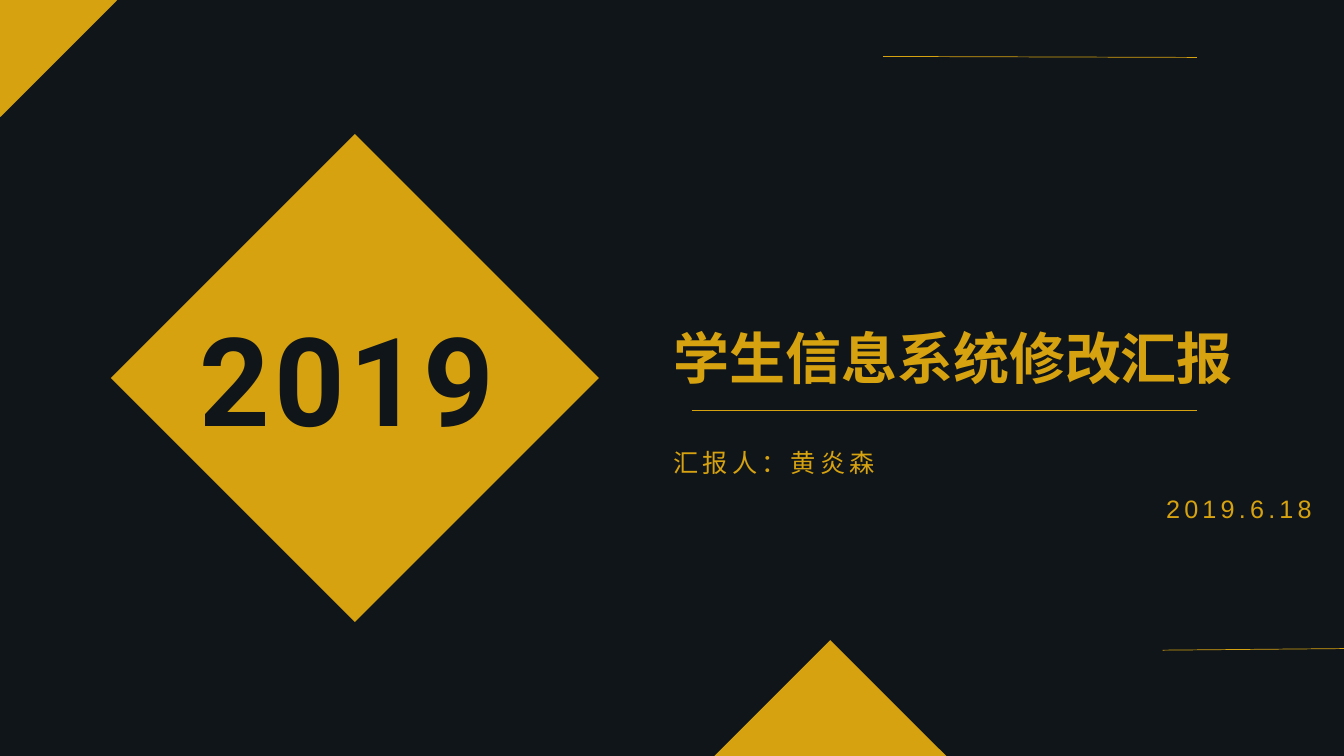
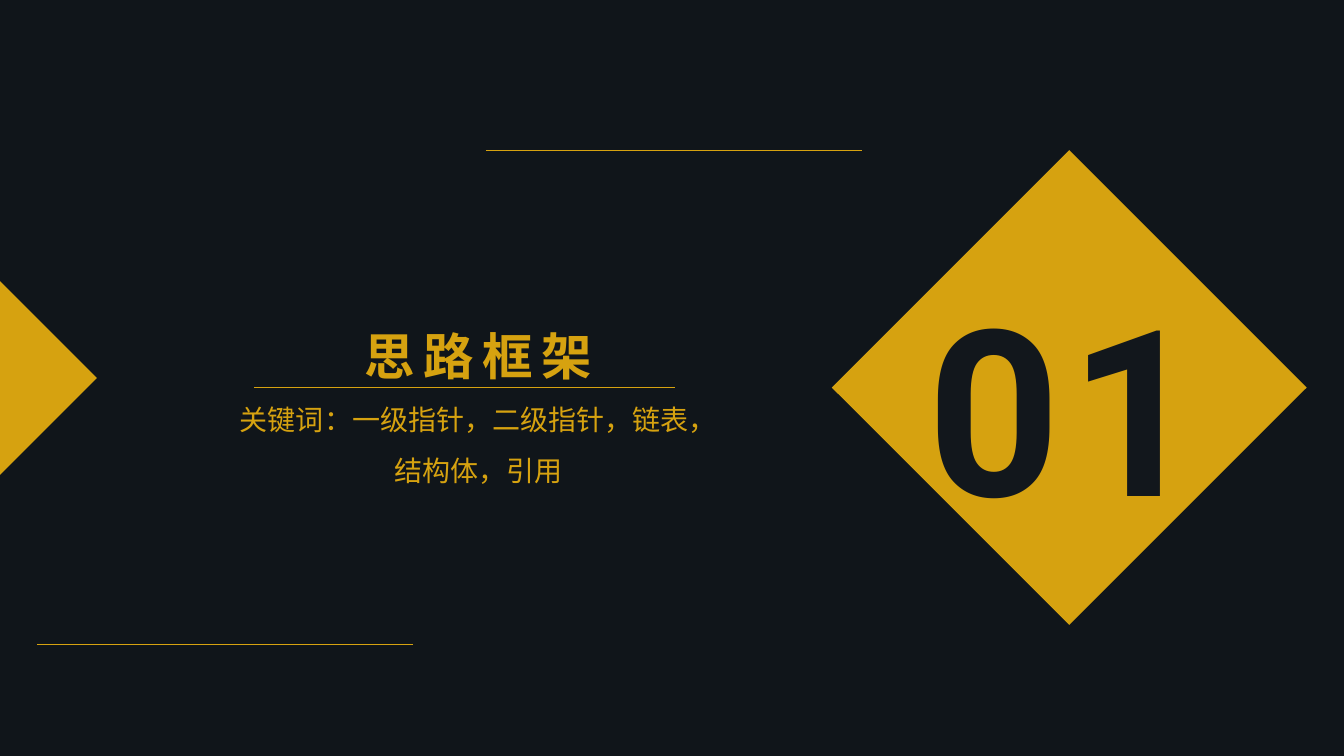
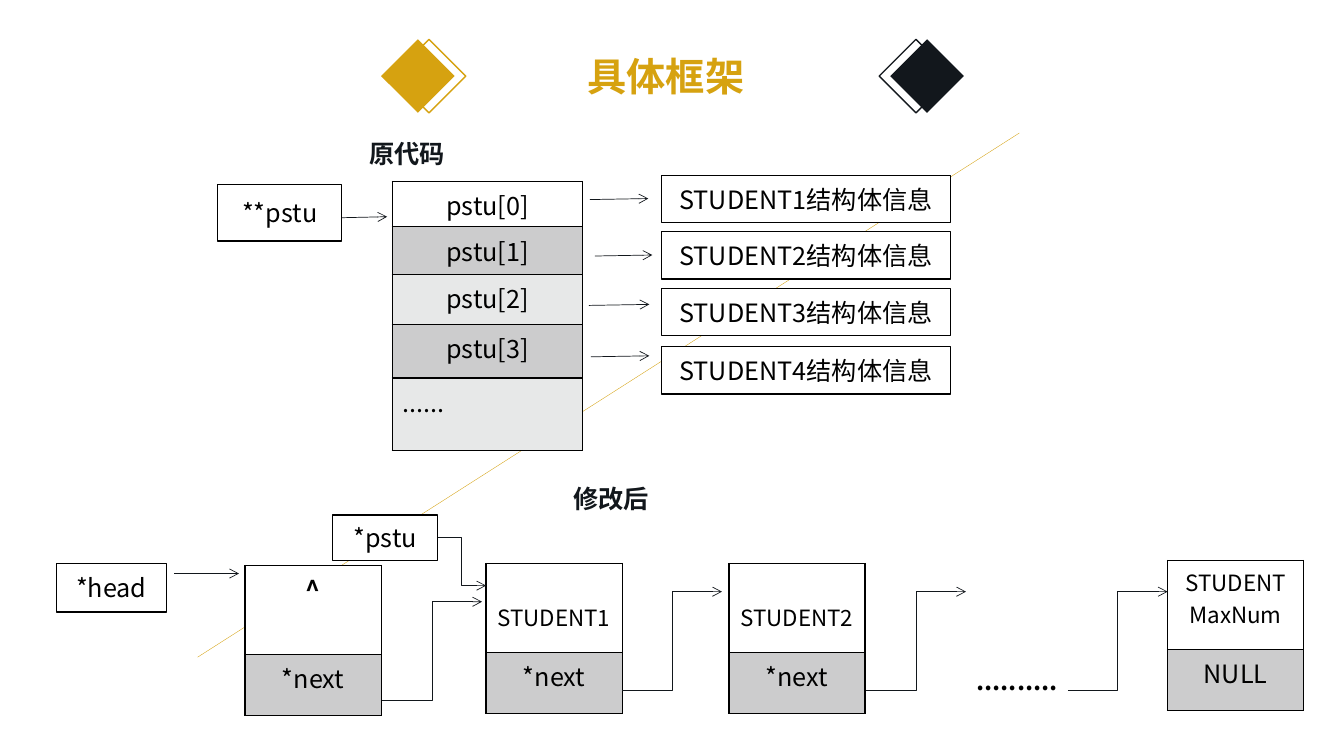
from lxml import etree
from pptx import Presentation
from pptx.dml.color import RGBColor
from pptx.enum import shapes, text
from pptx.oxml import ns
from pptx.util import Inches, Pt

GOLD = RGBColor(0xD6, 0xA2, 0x10)
NIGHT = RGBColor(0x10, 0x15, 0x1A)
INK = RGBColor(0x12, 0x17, 0x1C)
BLACK = RGBColor(0x00, 0x00, 0x00)
WHITE = RGBColor(0xFF, 0xFF, 0xFF)
GREY = RGBColor(0xCC, 0xCC, 0xCD)
PALE = RGBColor(0xE7, 0xE8, 0xE8)

SANS = "Noto Sans CJK SC"
LEFT, CENTER, RIGHT = text.PP_ALIGN.LEFT, text.PP_ALIGN.CENTER, text.PP_ALIGN.RIGHT


def write(frame, words, size=18, color=BLACK, font=SANS, bold=False,
          align=LEFT, leading=None, spacing=0):
    """Put words in the frame's first paragraph if it is free, else in a new one."""
    para = frame.paragraphs[0]
    if para.runs:
        para = frame.add_paragraph()
    para.alignment = align
    if leading:
        para.line_spacing = leading
    span = para.add_run()
    span.text = words
    span.font.size = Pt(size)
    span.font.bold = bold
    span.font.name = font
    span.font.color.rgb = color
    props = span.font._element
    etree.SubElement(props, ns.qn("a:ea"), typeface=font)
    if spacing:
        props.set("spc", str(spacing * 100))


class Deck:
    def __init__(self):
        self.file = Presentation()
        self.file.slide_width = Inches(13.33)
        self.file.slide_height = Inches(7.5)
        self.page = None

    def new_page(self, color):
        self.page = self.file.slides.add_slide(self.file.slide_layouts[6])
        self.page.background.fill.solid()
        self.page.background.fill.fore_color.rgb = color

    def shape(self, kind, left, top, width, height, fill=None, line=None):
        shape = self.page.shapes.add_shape(
            kind, Inches(left), Inches(top), Inches(width), Inches(height))
        shape.shadow.inherit = False
        if fill is None:
            shape.fill.background()
        else:
            shape.fill.solid()
            shape.fill.fore_color.rgb = fill
        if line is None:
            shape.line.fill.background()
        else:
            shape.line.color.rgb = line
            shape.line.width = Pt(1)
        return shape

    def diamond(self, left, top, size, fill=None, line=None):
        self.shape(shapes.MSO_SHAPE.DIAMOND, left, top, size, size, fill, line)

    def node(self, words, left, top, width, height):
        box = self.shape(shapes.MSO_SHAPE.RECTANGLE, left, top, width, height, WHITE, BLACK)
        frame = box.text_frame
        frame.word_wrap = True
        frame.vertical_anchor = text.MSO_ANCHOR.MIDDLE
        write(frame, words, align=CENTER)

    def text_box(self, left, top, width, height, wrap=True):
        box = self.page.shapes.add_textbox(
            Inches(left), Inches(top), Inches(width), Inches(height))
        box.text_frame.word_wrap = wrap
        return box.text_frame

    def line(self, x1, y1, x2, y2, color=GOLD, width=0.5, bent=False, arrow=False):
        kind = shapes.MSO_CONNECTOR.ELBOW if bent else shapes.MSO_CONNECTOR.STRAIGHT
        line = self.page.shapes.add_connector(
            kind, Inches(x1), Inches(y1), Inches(x2), Inches(y2))
        line.line.color.rgb = color
        line.line.width = Pt(width)
        if arrow:
            etree.SubElement(line.line._get_or_add_ln(), ns.qn("a:tailEnd"), type="arrow")
        etree.SubElement(line._element.spPr, ns.qn("a:effectLst"))

    def arrow(self, x1, y1, x2, y2, bent=False):
        self.line(x1, y1, x2, y2, INK, bent=bent, arrow=True)

    def column(self, left, top, width, rows):
        """A one-column table; each row is (height, fill, words, format, top margin)."""
        total = sum(row[0] for row in rows)
        table = self.page.shapes.add_table(
            len(rows), 1, Inches(left), Inches(top), Inches(width), Inches(total)).table
        for index, (height, fill, words, style, margin) in enumerate(rows):
            table.rows[index].height = Inches(height)
            cell = table.cell(index, 0)
            cell.margin_top = Inches(margin)
            cell.fill.solid()
            cell.fill.fore_color.rgb = fill
            write(cell.text_frame, words, **style)
            self.border(cell)

    @staticmethod
    def border(cell):
        props = cell._tc.get_or_add_tcPr()
        for index, side in enumerate(("lnL", "lnR", "lnT", "lnB")):
            edge = etree.Element(ns.qn("a:" + side), w=str(Pt(1)))
            paint = etree.SubElement(edge, ns.qn("a:solidFill"))
            etree.SubElement(paint, ns.qn("a:srgbClr"), val=str(BLACK))
            props.insert(index, edge)

    def list_node(self, left, top, words, link, size=16, bold=False, margin=0.05):
        """A linked-list element: its data above its pointer."""
        self.column(left, top, 1.35, [
            (0.88, WHITE, words, dict(size=size, bold=bold, align=CENTER), margin),
            (0.61, GREY, link, dict(align=CENTER), 0.05)])


def cover(deck):
    deck.new_page(NIGHT)
    for left, top, size in ((-1.15, -1.15, 2.31), (7.08, 6.35, 2.31), (1.1, 1.33, 4.84)):
        deck.diamond(left, top, size, GOLD)
    write(deck.text_box(6.58, 3.16, 6.11, 0.77), "学生信息系统修改汇报",
          size=40, color=GOLD, font="Roboto Condensed", bold=True)
    details = deck.text_box(6.58, 4.24, 6.53, 1.01)
    for words, align in (("汇报人：黄炎森", LEFT), ("2019.6.18", RIGHT)):
        write(details, words, color=GOLD, font="Arial", align=align, leading=1.5, spacing=3)
    write(deck.text_box(1.88, 2.96, 3.3, 1.58), "2019",
          size=88, color=NIGHT, font="Roboto", bold=True, spacing=3)
    deck.line(6.86, 4.07, 11.87, 4.07)
    deck.line(8.76, 0.56, 11.87, 0.57)
    deck.line(11.53, 6.45, 13.82, 6.43)


def section(deck):
    deck.new_page(NIGHT)
    deck.diamond(-0.96, 2.79, 1.92, GOLD)
    deck.diamond(8.25, 1.49, 4.71, GOLD)
    write(deck.text_box(9.1, 2.57, 3.02, 2.89), "01",
          size=166, color=INK, font="Roboto", bold=True, spacing=6)
    heading = deck.text_box(1.89, 2.88, 5.71, 2.02)
    write(heading, "思路框架", size=36, color=GOLD, bold=True,
          align=CENTER, leading=1.5, spacing=6)
    for words in ("关键词：一级指针，二级指针，链表，", "结构体，引用"):
        write(heading, words, size=20, color=GOLD, align=CENTER, leading=1.5)
    for left, top, right in ((2.52, 3.84, 6.69), (4.82, 1.49, 8.55), (0.37, 6.39, 4.1)):
        deck.line(left, top, right, top)


def framework(deck):
    deck.new_page(WHITE)
    for solid, outline, color in ((3.78, 3.89, GOLD), (8.83, 8.72, INK)):
        deck.diamond(solid, 0.39, 0.73, fill=color)
        deck.diamond(outline, 0.39, 0.73, line=color)
    write(deck.text_box(5.73, 0.47, 1.76, 0.57, wrap=False), "具体框架",
          size=28, color=GOLD, font="Roboto", bold=True)
    deck.line(10.11, 1.32, 1.96, 6.52, width=0.25)

    # Array of pointers
    write(deck.text_box(2.83, 1.32, 2.42, 0.39), "原代码",
          color=INK, bold=True, align=CENTER)
    deck.node("**pstu", 2.16, 1.83, 1.23, 0.56)
    deck.arrow(3.39, 2.16, 3.84, 2.15)
    cells = zip((0.45, 0.47, 0.5, 0.53), (WHITE, GREY, PALE, GREY))
    rows = [(height, fill, f"pstu[{index}]", dict(align=CENTER), 0.05)
            for index, (height, fill) in enumerate(cells)]
    deck.column(3.89, 1.8, 1.89, rows + [(0.72, PALE, "......", {}, 0.05)])
    records = ((1.74, 5.85, 1.98, 6.43), (2.3, 5.9, 2.54, 6.47),
               (2.86, 5.84, 3.03, 6.44), (3.44, 5.86, 3.54, 6.44))
    for number, (top, start, level, end) in enumerate(records, 1):
        deck.node(f"STUDENT{number}结构体信息", 6.56, top, 2.87, 0.47)
        deck.arrow(start, level, end, level - 0.01)

    # Linked list
    write(deck.text_box(5.59, 4.75, 2.15, 0.4), "修改后", color=INK, bold=True)
    deck.list_node(2.43, 5.61, "^", "*next", size=18, bold=True)
    deck.list_node(4.82, 5.59, "STUDENT1", "*next", margin=0.37)
    deck.list_node(7.23, 5.59, "STUDENT2", "*next", margin=0.37)
    deck.list_node(11.58, 5.56, "STUDENT MaxNum", "NULL")
    deck.node("*head", 0.56, 5.59, 1.09, 0.48)
    deck.node("*pstu", 3.3, 5.11, 1.04, 0.45)
    deck.arrow(1.73, 5.69, 2.37, 5.69)
    deck.arrow(4.34, 5.33, 4.82, 5.81, bent=True)
    for left, bottom in ((3.79, 6.95), (6.17, 6.85), (8.59, 6.85), (10.59, 6.85)):
        deck.arrow(left, bottom, left + 0.99, bottom - 0.98, bent=True)
    write(deck.text_box(9.56, 6.55, 1.06, 0.4), "..........", bold=True, align=CENTER)


def main():
    deck = Deck()
    cover(deck)
    section(deck)
    framework(deck)
    deck.file.save("out.pptx")


if __name__ == "__main__":
    main()
